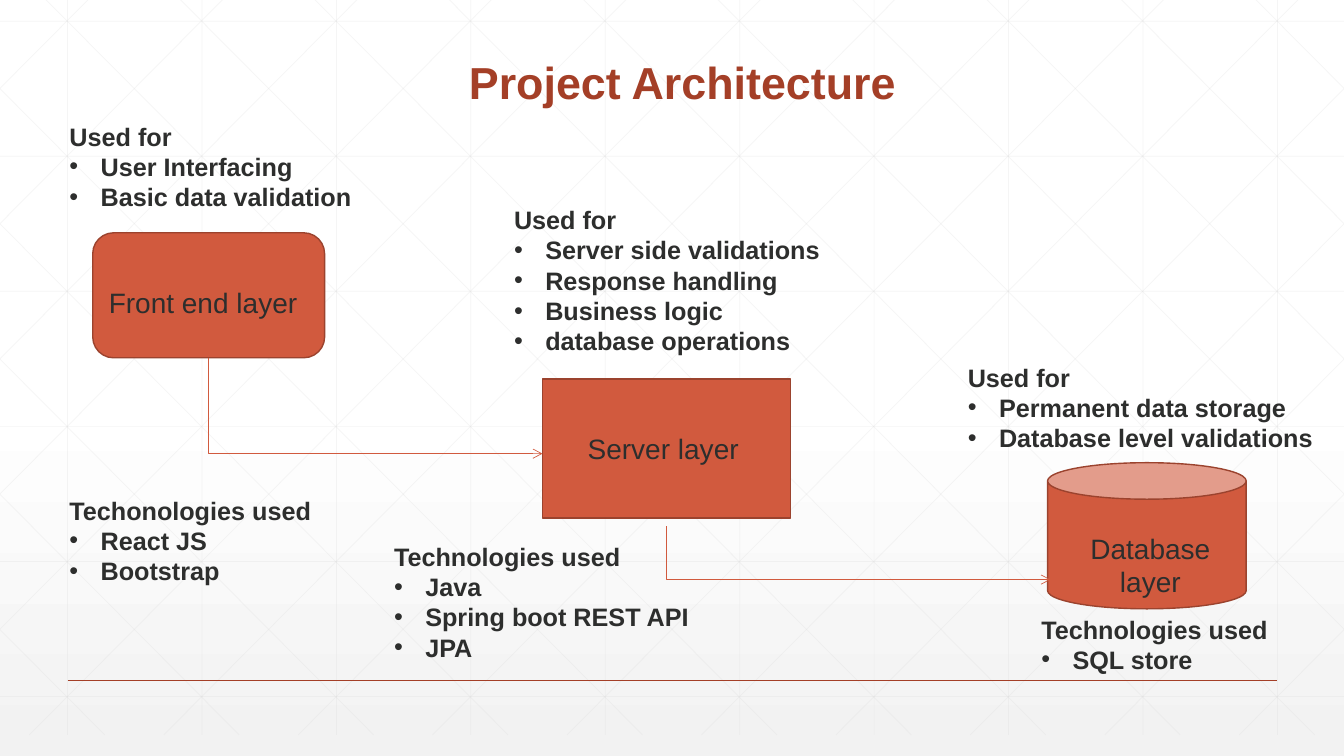
from dataclasses import dataclass

from lxml.etree import SubElement
from pptx import Presentation
from pptx.dml.color import RGBColor
from pptx.enum.shapes import MSO_CONNECTOR as Link, MSO_SHAPE as Shape
from pptx.enum.text import MSO_ANCHOR as Anchor, PP_ALIGN as Align
from pptx.oxml.ns import qn
from pptx.util import Inches, Pt


@dataclass(frozen=True)
class Theme:
    """Colours, font and type sizes of the slide."""
    font: str = "Arial"
    title: str = "A43F27"
    text: str = "2D2E2D"
    fill: str = "D15A3E"
    edge: str = "9B432E"
    grid: str = "D9D9D9"
    paper: str = "FFFFFF"
    shade: str = "F2F2F2"
    title_size: int = 32
    label_size: int = 20
    note_size: int = 18


THEME = Theme()
WIDTH, HEIGHT = 13.33, 7.5
GRID_TOP, GRID_BOTTOM = -0.21, 7.29
GRID_STEP = 4 / 3
DIAGONAL_RUN = 7.455

LAYERS = [
    (Shape.ROUNDED_RECTANGLE, (0.92, 2.31, 2.3, 1.24)),
    (Shape.RECTANGLE, (5.38, 3.76, 2.46, 1.38)),
    (Shape.CAN, (10.39, 4.59, 1.97, 1.45)),
]
LABELS = [
    ("Front end layer", (0.8, 2.78, 2.43, 0.44), Align.CENTER),
    ("Server layer", (5.73, 4.23, 1.83, 0.44), Align.LEFT),
    ("Database layer", (10.49, 5.22, 1.84, 0.77), Align.CENTER),
]
NOTES = [
    ((0.59, 1.15, 3.08, 1.01), "Used for",
     ["User Interfacing", "Basic data validation"]),
    ((5, 1.98, 3.54, 1.62), "Used for",
     ["Server side validations", "Response handling", "Business logic",
      "database operations"]),
    ((9.5, 3.54, 3.75, 1.31), "Used for",
     ["Permanent data storage", "Database level validations"]),
    ((0.59, 4.86, 2.64, 1.01), "Techonologies used", ["React JS", "Bootstrap"]),
    ((3.81, 5.32, 3.41, 1.62), "Technologies used",
     ["Java", "Spring boot REST API", "JPA"]),
    ((10.23, 6.04, 2.66, 0.71), "Technologies used", ["SQL store"]),
]
ARROWS = [((2.07, 3.55), (5.38, 4.5)), ((6.61, 5.22), (10.42, 5.75))]


def paint_background(page):
    """Fill the page with a vertical fade from white to light grey."""
    fill = page.background.fill
    fill.gradient()
    fill.gradient_angle = 270
    stops = page._element.find(".//" + qn("a:gsLst"))
    for stop in list(stops):
        stops.remove(stop)
    for percent, color in ((0, THEME.paper), (53, THEME.paper), (100, THEME.shade)):
        stop = SubElement(stops, qn("a:gs"), pos=str(percent * 1000))
        SubElement(stop, qn("a:srgbClr"), val=color)


def add_line(page, start, end, color, width, kind=Link.STRAIGHT):
    """Draw a connector without a shadow."""
    points = [Inches(value) for value in (*start, *end)]
    line = page.shapes.add_connector(kind, *points)
    line.line.color.rgb = RGBColor.from_string(color)
    line.line.width = Pt(width)
    SubElement(line._element.spPr, qn("a:effectLst"))
    return line


def add_grid_line(page, start, end):
    """Draw one faint line of the background grid."""
    line = add_line(page, start, end, THEME.grid, 0.5)
    color = line._element.spPr.find(".//" + qn("a:srgbClr"))
    SubElement(color, qn("a:alpha"), val="25000")


def add_grid(page):
    """Draw verticals, horizontals and mirrored diagonals clipped to the page."""
    for index in range(10):
        x = 0.67 + index * GRID_STEP
        add_grid_line(page, (x, GRID_TOP), (x, GRID_BOTTOM))
    for index in range(6):
        y = 0.21 + index * 1.34
        add_grid_line(page, (0, y), (WIDTH, y))
    slope = (GRID_BOTTOM - GRID_TOP) / DIAGONAL_RUN
    for index in range(-5, 10):
        top_x = 0.25 + index * GRID_STEP
        left, right = max(0, top_x), min(WIDTH, top_x + DIAGONAL_RUN)
        upper, lower = (GRID_TOP + (x - top_x) * slope for x in (left, right))
        add_grid_line(page, (left, upper), (right, lower))
        add_grid_line(page, (WIDTH - left, upper), (WIDTH - right, lower))


def add_bent_arrow(page, start, end):
    """Draw an arrow that runs down and then right."""
    drop, run = end[1] - start[1], end[0] - start[0]
    left = (start[0] + end[0] - drop) / 2
    top = (start[1] + end[1] - run) / 2
    arrow = add_line(page, (left, top), (left + drop, top + run),
                     THEME.fill, 0.5, Link.ELBOW)
    properties = arrow._element.spPr
    properties.find(qn("a:prstGeom")).set("prst", "bentConnector2")
    frame = properties.find(qn("a:xfrm"))
    frame.set("rot", str(90 * 60000))
    frame.set("flipV", "1")
    SubElement(properties.find(qn("a:ln")), qn("a:tailEnd"), type="arrow")


def add_layer(page, kind, bounds):
    """Draw the shape of one layer."""
    shape = page.shapes.add_shape(kind, *map(Inches, bounds))
    shape.shadow.inherit = False
    shape.fill.solid()
    shape.fill.fore_color.rgb = RGBColor.from_string(THEME.fill)
    shape.line.color.rgb = RGBColor.from_string(THEME.edge)
    shape.line.width = Pt(1)


def set_bullet(para):
    """Give a paragraph a bullet with a hanging indent."""
    indent = Inches(0.31)
    properties = para._p.get_or_add_pPr()
    properties.set("marL", str(indent))
    properties.set("indent", str(-indent))
    SubElement(properties, qn("a:buFont"), typeface=THEME.font)
    SubElement(properties, qn("a:buChar"), char="•")


def add_text(page, bounds, lines, size, color=THEME.text, bold=False,
             align=Align.LEFT):
    """Add a text box whose lines after the first are bullets."""
    box = page.shapes.add_textbox(*map(Inches, bounds))
    frame = box.text_frame
    frame.word_wrap = True
    for index, line in enumerate(lines):
        para = frame.add_paragraph() if index else frame.paragraphs[0]
        para.text = line
        para.alignment = align
        if index:
            set_bullet(para)
        para.font.name = THEME.font
        para.font.size = Pt(size)
        para.font.bold = bold
        para.font.color.rgb = RGBColor.from_string(color)
    return frame


def add_title(page, text):
    """Add the centred slide title."""
    frame = add_text(page, (1.52, 0.34, 10.5, 0.79), [text], THEME.title_size,
                     THEME.title, True, Align.CENTER)
    frame.vertical_anchor = Anchor.BOTTOM
    frame.paragraphs[0].line_spacing = 0.9


def main():
    """Build the slide and save it."""
    deck = Presentation()
    deck.slide_width, deck.slide_height = Inches(WIDTH), Inches(HEIGHT)
    page = deck.slides.add_slide(deck.slide_layouts[6])
    paint_background(page)
    add_grid(page)
    add_line(page, (0.67, 6.75), (12.67, 6.75), THEME.title, 1)
    add_title(page, "Project Architecture")
    for kind, bounds in LAYERS:
        add_layer(page, kind, bounds)
    for bounds, heading, items in NOTES:
        add_text(page, bounds, [heading, *items], THEME.note_size, bold=True)
    for start, end in ARROWS:
        add_bent_arrow(page, start, end)
    for text, bounds, align in LABELS:
        add_text(page, bounds, [text], THEME.label_size, align=align)
    deck.save("out.pptx")


if __name__ == "__main__":
    main()
